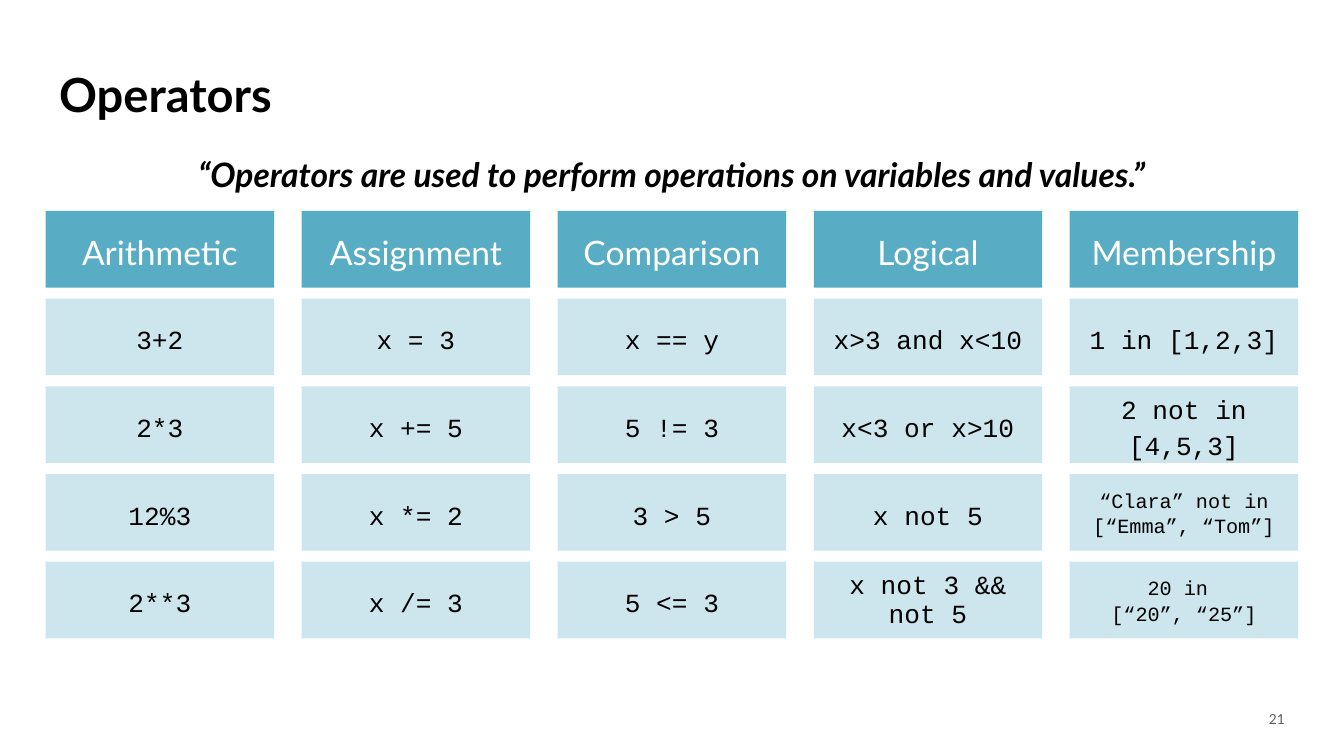
"""Build the slide on operators: a title, a quote and a grid of examples by operator type."""
from pptx import Presentation
from pptx import util as u
from pptx.dml import color
from pptx.enum import shapes, text

COLORS = {"header": "58ADC5", "cell": "CDE6EE", "black": "000000", "white": "FFFFFF", "gray": "5D5D5D"}
ALIGN = text.PP_ALIGN
ANCHOR = text.MSO_ANCHOR


def write(box, words, size, ink="black", font="Lato", align=ALIGN.CENTER,
          anchor=ANCHOR.MIDDLE, spacing=1.15, after=0, bold=False, italic=False):
    frame = box.text_frame
    frame.word_wrap = True
    frame.auto_size = text.MSO_AUTO_SIZE.NONE
    frame.vertical_anchor = anchor
    frame.margin_left = frame.margin_right = u.Inches(0.1)
    frame.margin_top = frame.margin_bottom = u.Inches(0.1)
    para = frame.paragraphs[0]
    para.alignment = align
    para.line_spacing = spacing
    para.space_after = u.Pt(after)
    for index, line in enumerate(words.split("\n")):
        if index:
            para.add_line_break()
        span = para.add_run()
        span.text = line
        span.font.name = font
        span.font.size = u.Pt(size)
        span.font.bold = bold
        span.font.italic = italic
        span.font.color.rgb = color.RGBColor.from_string(COLORS[ink])


deck = Presentation()
deck.slide_width = u.Inches(10)
deck.slide_height = deck.slide_width * 9 // 16
page = deck.slides.add_slide(deck.slide_layouts[5])

title = page.shapes.title
title.left, title.top = u.Inches(0.34), u.Inches(0.38)
title.width, title.height = u.Inches(8.91), u.Inches(0.63)
write(title, "Operators", 25.2, align=ALIGN.LEFT, spacing=1.0, bold=True)

quote = page.shapes.add_textbox(u.Inches(0.34), u.Inches(1), u.Inches(9.32), u.Inches(4.1))
write(quote, "“Operators are used to perform operations on variables and values.”", 18,
      anchor=ANCHOR.TOP, bold=True, italic=True)

columns = {
    "Arithmetic": ["3+2", "2*3", "12%3", "2**3"],
    "Assignment": ["x = 3", "x += 5", "x *= 2", "x /= 3"],
    "Comparison": ["x == y", "5 != 3", "3 > 5", "5 <= 3"],
    "Logical": ["x>3 and x<10", "x<3 or x>10", "x not 5", "x not 3 && not 5"],
    "Membership": ["1 in [1,2,3]", "2 not in [4,5,3]", "“Clara” not in [“Emma”, “Tom”]",
                   "20 in \n[“20”, “25”]"],
}
header_style = {"size": 18, "ink": "white"}
code_style = {"size": 14, "font": "Courier New"}
tight_styles = {
    "x not 3 && not 5": {"spacing": 0.95},
    "“Clara” not in [“Emma”, “Tom”]": {"size": 10.8, "spacing": 1.05},
    "20 in \n[“20”, “25”]": {"size": 10.8, "spacing": 1.05},
}
left, top = 0.34, 1.57
column_step = (7.96 - left) / 4
row_step = (4.18 - top) / 4

for column, (header, examples) in enumerate(columns.items()):
    for row, words in enumerate([header, *examples]):
        box = page.shapes.add_shape(
            shapes.MSO_SHAPE.RECTANGLE, u.Inches(left + column_step * column),
            u.Inches(top + row_step * row), u.Inches(1.7), u.Inches(0.57))
        box.shadow.inherit = False
        box.line.fill.background()
        box.fill.solid()
        box.fill.fore_color.rgb = color.RGBColor.from_string(COLORS["cell" if row else "header"])
        style = code_style if row else header_style
        write(box, words, after=10, **{**style, **tight_styles.get(words, {})})

number = page.shapes.add_textbox(u.Inches(9.26), u.Inches(5.21), u.Inches(0.4), u.Inches(0.3))
write(number, "21", 7.4, ink="gray", align=ALIGN.RIGHT, spacing=0.8)

deck.save("out.pptx")
